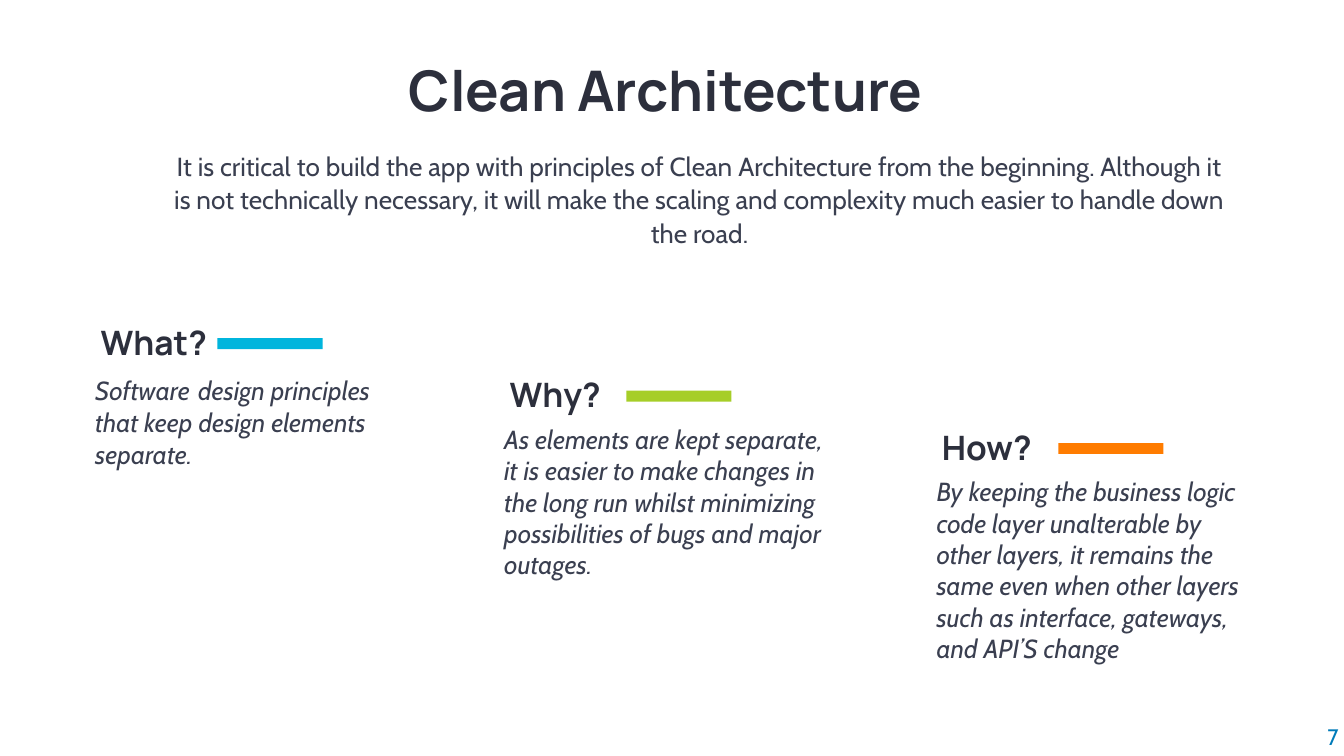
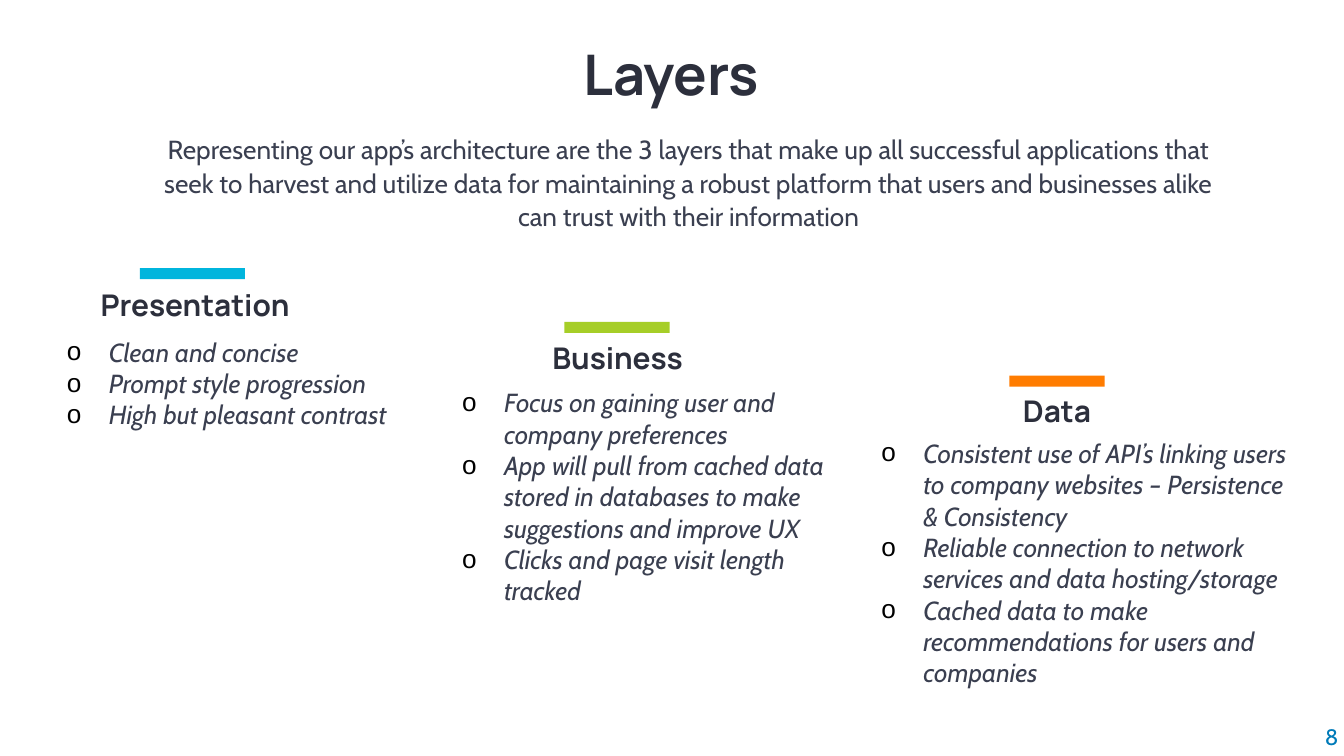
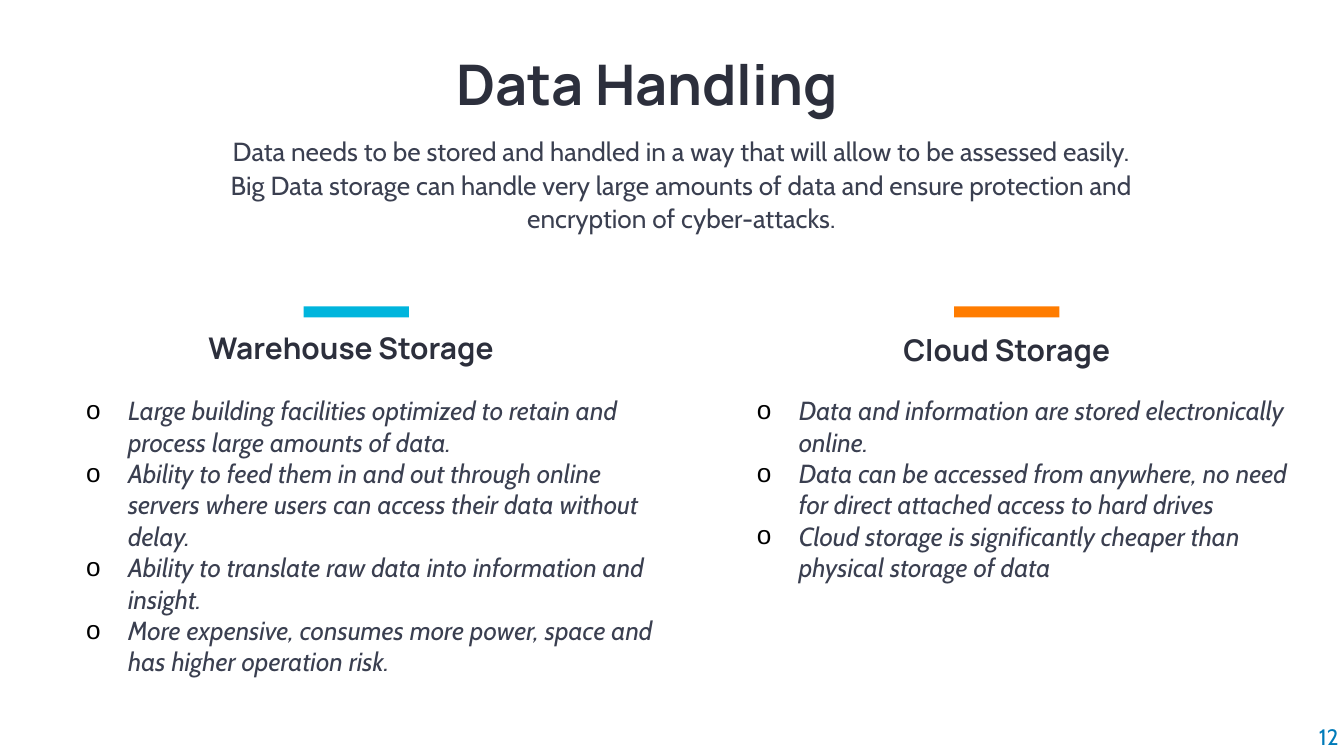
import pptx
import pptx.util
import pptx.dml.color
import pptx.enum.shapes
import pptx.enum.text
import lxml.etree

RGB = pptx.dml.color.RGBColor
ALIGN = pptx.enum.text.PP_ALIGN
ANCHOR = pptx.enum.text.MSO_ANCHOR

INK = RGB(0x2C, 0x2F, 0x3C)
SLATE = RGB(0x3A, 0x3F, 0x50)
BLACK = RGB(0, 0, 0)
PAGE = RGB(0x00, 0x7B, 0xB9)
CYAN = RGB(0x00, 0xB5, 0xDD)
LIME = RGB(0xA6, 0xCE, 0x28)
ORANGE = RGB(0xFF, 0x7C, 0x00)

HEAD = "Manrope"
BODY = "Cabin"
WIDE = pptx.util.Inches(10)
HIGH = WIDE * 9 // 16
CELL = WIDE / 100  # every length below counts cells of this grid
INDENT = 3.12
DEEP = {"bar": 0.82, "head": 3.9, "body": 8.9}

# Each row gives the top of the first column's part and its step per column.
# Each column gives (left, width) for its bar, head and body.
SLIDES = [
    dict(
        page="7", title="Clean Architecture", title_at=(2.7, 0.45),
        lead=["It is critical to build the app with principles of Clean "
              "Architecture from the beginning. Although it is not technically "
              "necessary, it will make the scaling and complexity much easier "
              "to handle down the road."],
        lead_at=(6.4, 10.53, 86.3), size=18, bullets=False,
        rows=dict(bar=(25.17, 3.9), head=(23.43, 3.93), body=(27.1, 3.9)),
        cols=[
            dict(name="What?", hue=CYAN, bar=(16.17, 7.83), head=(6.5, 19.1),
                 body=(6.1, 24.9),
                 text=[["Software",
                        (" ", dict(size=16, face="Arial", hue=BLACK)),
                        "design principles that keep design elements "
                        "separate."]]),
            dict(name="Why?", hue=LIME, bar=(46.6, 7.83), head=(36.93, 19.1),
                 body=(36.53, 26),
                 text=["As elements are kept separate, it is easier to make "
                       "changes in the long run whilst minimizing "
                       "possibilities of bugs and major outages."]),
            dict(name="How?", hue=ORANGE, bar=(78.74, 7.83),
                 head=(69.1, 19.1), body=(68.7, 26),
                 text=["By keeping the business logic code layer unalterable "
                       "by other layers, it remains the same even when other "
                       "layers such as interface, gateways, and API’S "
                       "change"]),
        ]),
    dict(
        page="8", title="Layers", title_at=(3.1, -0.77),
        lead=["Representing our app’s architecture are the 3 layers that make "
              "up all successful applications that seek to harvest and utilize "
              "data for maintaining a robust platform that users and "
              "businesses alike can trust with their information"],
        lead_at=(5.6, 9.3, 86.3), size=16, bullets=True,
        rows=dict(bar=(19.95, 4), head=(20.83, 3.93), body=(24.5, 3.77)),
        cols=[
            dict(name="Presentation", hue=CYAN, bar=(10.4, 7.83),
                 head=(6.5, 19.1), body=(4, 27),
                 text=["Clean and concise", "Prompt style progression",
                       "High but pleasant contrast"]),
            dict(name="Business", hue=LIME, bar=(42, 7.83),
                 head=(36.4, 19.1), body=(33.4, 31.7), align=ALIGN.CENTER,
                 text=["Focus on gaining user and company preferences",
                       "App will pull from cached data stored in databases to "
                       "make suggestions and improve UX",
                       "Clicks and page visit length tracked"]),
            dict(name="Data", hue=ORANGE, bar=(75.1, 7.1), head=(69.1, 19.1),
                 body=(64.6, 33.4), align=ALIGN.CENTER,
                 text=["Consistent use of API’s linking users to company "
                       "websites – Persistence & Consistency",
                       "Reliable connection to network services and data "
                       "hosting/storage",
                       "Cached data to make recommendations for users and "
                       "companies"]),
        ]),
    dict(
        page="12", title="Data Handling", title_at=(1.3, 0),
        lead=["Data needs to be stored and handled in a way that will allow to "
              "be assessed easily.",
              "Big Data storage can handle very large amounts of data and "
              "ensure protection and encryption of cyber-attacks."],
        lead_at=(7.75, 9.42, 80.9), size=16, bullets=True,
        rows=dict(bar=(22.8, 0), head=(24.05, 0.15), body=(28.87, 0)),
        cols=[
            dict(name="Warehouse Storage", hue=CYAN, bar=(22.6, 7.83),
                 head=(14.53, 24), body=(5.43, 44.3),
                 text=["Large building facilities optimized to retain and "
                       "process large amounts of data.",
                       "Ability to feed them in and out through online servers "
                       "where users can access their data without delay.",
                       "Ability to translate raw data into information and "
                       "insight.",
                       "More expensive, consumes more power, space and has "
                       "higher operation risk."]),
            dict(name="Cloud Storage", hue=ORANGE, bar=(71, 7.83),
                 head=(65.35, 19.1), body=(55.33, 41.8), align=ALIGN.CENTER,
                 text=["Data and information are stored electronically online.",
                       "Data can be accessed from anywhere, no need for direct "
                       "attached access to hard drives",
                       "Cloud storage is significantly cheaper than physical "
                       "storage of data"]),
        ]),
]


def cells(*nums):
    return [round(n * CELL) for n in nums]


def mark(para):
    """Give the paragraph a hanging round bullet."""
    props = para._p.get_or_add_pPr()
    step = cells(INDENT)[0]
    props.set("marL", str(step))
    props.set("indent", str(-step))
    ns = "{http://schemas.openxmlformats.org/drawingml/2006/main}"
    tint = lxml.etree.SubElement(props, ns + "buClr")
    lxml.etree.SubElement(tint, ns + "srgbClr", val=str(BLACK))
    lxml.etree.SubElement(props, ns + "buFont", typeface="Arial")
    lxml.etree.SubElement(props, ns + "buChar", char="o")


def style(font, face, size, hue, bold, italic):
    font.name, font.size = face, pptx.util.Pt(size)
    font.color.rgb = hue
    font.bold, font.italic = bold, italic


def write(shape, paras, face=BODY, size=14, hue=SLATE, bold=False,
          italic=False, align=ALIGN.LEFT, space=1.0, left=0, bullets=False,
          anchor=ANCHOR.TOP, flush=False):
    """Fill a shape; a paragraph is a string or a list of runs."""
    base = dict(face=face, size=size, hue=hue, bold=bold, italic=italic)
    frame = shape.text_frame
    frame.word_wrap = True
    frame.auto_size = pptx.enum.text.MSO_AUTO_SIZE.NONE
    frame.vertical_anchor = anchor
    if flush:
        frame.margin_left = frame.margin_right = 0
        frame.margin_top = frame.margin_bottom = 0
    for i, runs in enumerate(paras):
        para = frame.add_paragraph() if i else frame.paragraphs[0]
        para.alignment, para.line_spacing = align, space
        para.space_before = pptx.util.Pt(0)
        if left:
            para._p.get_or_add_pPr().set("marL", str(cells(left)[0]))
        if bullets:
            mark(para)
        for part in [runs] if isinstance(runs, str) else runs:
            text, extra = (part, {}) if isinstance(part, str) else part
            run = para.add_run()
            run.text = text
            style(run.font, **{**base, **extra})


def label(slide, at, paras, **fmt):
    write(slide.shapes.add_textbox(*cells(*at)), paras, **fmt)


def stripe(slide, at, hue):
    kind = pptx.enum.shapes.MSO_SHAPE.RECTANGLE
    bar = slide.shapes.add_shape(kind, *cells(*at))
    bar.shadow.inherit = False
    bar.fill.solid()
    bar.fill.fore_color.rgb = hue
    bar.line.fill.background()


def column(slide, data, col, i):
    spot = {}
    for part, (first, step) in data["rows"].items():
        x, wide = col[part]
        spot[part] = x, first + step * i, wide, DEEP[part]
    label(slide, spot["head"], [col["name"]], face=HEAD, size=data["size"],
          hue=INK, bold=True, align=col.get("align", ALIGN.LEFT))
    label(slide, spot["body"], col["text"], italic=True,
          bullets=data["bullets"])
    stripe(slide, spot["bar"], col["hue"])


def build(deck, data):
    slide = deck.slides.add_slide(deck.slide_layouts[5])
    title = slide.shapes.title
    title.left, title.top, title.width, title.height = cells(
        *data["title_at"], 93.7, 11.9)
    write(title, [data["title"]], face=HEAD, size=30, hue=INK, bold=True,
          align=ALIGN.CENTER, space=1.1, anchor=ANCHOR.MIDDLE, flush=True)
    label(slide, (*data["lead_at"], 17), data["lead"], align=ALIGN.CENTER,
          space=1.07, left=5)
    for i, col in enumerate(data["cols"]):
        column(slide, data, col, i)
    label(slide, (94.6, 50.7, 5, 5.1), [data["page"]], size=12, hue=PAGE,
          align=ALIGN.RIGHT, anchor=ANCHOR.BOTTOM, flush=True)


def main():
    deck = pptx.Presentation()
    deck.slide_width, deck.slide_height = WIDE, HIGH
    for data in SLIDES:
        build(deck, data)
    deck.save("out.pptx")


if __name__ == "__main__":
    main()
